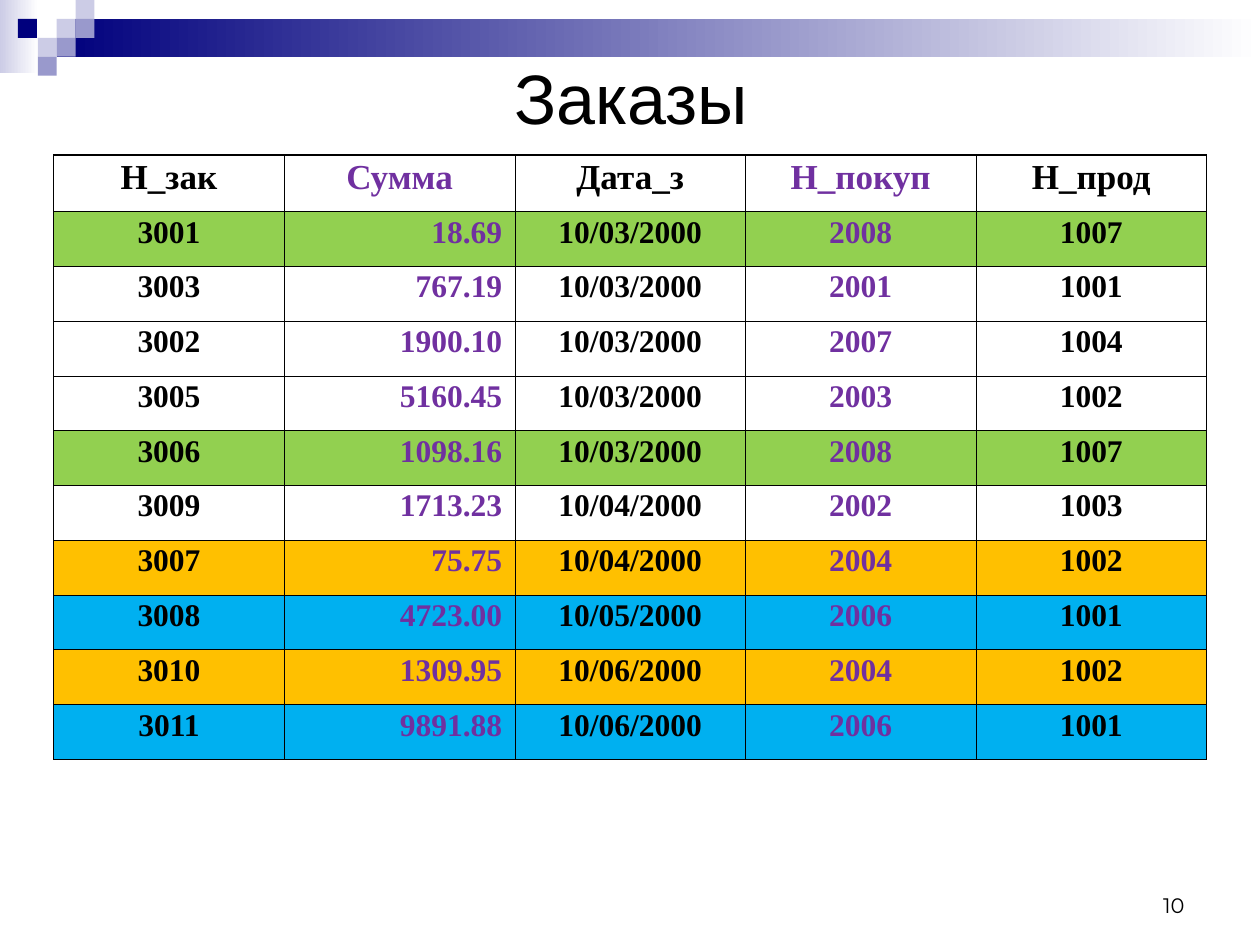
import pptx
import pptx.util
import pptx.dml.color
import pptx.enum.shapes
import pptx.enum.text
import pptx.oxml
import pptx.oxml.ns
from dataclasses import dataclass

Pt = pptx.util.Pt
Align = pptx.enum.text.PP_ALIGN
Anchor = pptx.enum.text.MSO_ANCHOR


@dataclass(frozen=True)
class Theme:
    black: str = "000000"
    white: str = "FFFFFF"
    navy: str = "00007D"
    mid: str = "9999CC"
    pale: str = "CCCCE6"
    purple: str = "7030A0"
    green: str = "92D050"
    amber: str = "FFC000"
    blue: str = "00B0F0"
    sans: str = "Arial"
    serif: str = "Times New Roman"
    small: str = "Montserrat"
    title: int = 40
    head: int = 20
    body: int = 18
    page: int = 12
    thin: float = 0.45
    thick: float = 0.96


def color(code):
    return pptx.dml.color.RGBColor.from_string(code)


class Deck:
    def __init__(self, theme, slide):
        self.theme = theme
        self.slide = slide

    def rect(self, box, *fills):
        """One colour gives a solid fill, two a left-to-right gradient."""
        kind = pptx.enum.shapes.MSO_SHAPE.RECTANGLE
        shape = self.slide.shapes.add_shape(kind, *map(Pt, box))
        shape.shadow.inherit = False
        shape.line.fill.background()
        if len(fills) == 1:
            shape.fill.solid()
            shape.fill.fore_color.rgb = color(fills[0])
        else:
            shape.fill.gradient()
            shape.fill.gradient_angle = 0
            for stop, code, place in zip(shape.fill.gradient_stops, fills, (0, 1)):
                stop.color.rgb = color(code)
                stop.position = place

    def style(self, frame, text, size, face, align, code, bold=False):
        para = frame.paragraphs[0]
        para.text = text
        para.alignment = align
        font = para.font
        font.size, font.name, font.bold = Pt(size), face, bold
        font.color.rgb = color(code)
        return para

    def text(self, box, text, size, face, align, anchor):
        frame = self.slide.shapes.add_textbox(*map(Pt, box)).text_frame
        frame.word_wrap = True
        frame.vertical_anchor = anchor
        self.style(frame, text, size, face, align, self.theme.black)

    def edge(self, cell, widths):
        """Draw borders, widths in the order left, right, top, bottom."""
        props = cell._tc.get_or_add_tcPr()
        for spot, (side, width) in enumerate(zip("LRTB", widths)):
            props.insert(spot, pptx.oxml.parse_xml(
                f'<a:ln{side} {pptx.oxml.ns.nsdecls("a")} w="{Pt(width)}">'
                f'<a:solidFill><a:srgbClr val="{self.theme.black}"/></a:solidFill>'
                f'</a:ln{side}>'))

    def table(self, box, rows, fills, heights):
        t = self.theme
        grid = self.slide.shapes.add_table(
            len(rows), len(rows[0]), *map(Pt, box)).table
        grid.first_row = grid.horz_banding = False
        for col in grid.columns:
            col.width = Pt(box[2] / len(rows[0]))
        for r, (row, fill, height) in enumerate(zip(rows, fills, heights)):
            grid.rows[r].height = Pt(height)
            for c, value in enumerate(row):
                cell = grid.cell(r, c)
                align = Align.RIGHT if r and c == 1 else Align.CENTER
                para = self.style(cell.text_frame, value,
                                  t.body if r else t.head, t.serif, align,
                                  t.purple if c in (1, 3) else t.black, True)
                para.line_spacing = 0.9
                if fill:
                    cell.fill.solid()
                    cell.fill.fore_color.rgb = color(fill)
                else:
                    cell.fill.background()
                self.edge(cell, (t.thin, t.thin,
                                 t.thick if r < 2 else t.thin,
                                 t.thin if r else t.thick))


def main():
    prs = pptx.Presentation()
    prs.slide_width, prs.slide_height = Pt(720), Pt(540)
    t = Theme()
    deck = Deck(t, prs.slides.add_slide(prs.slide_layouts[6]))

    # Top band and its mosaic of squares
    unit = 10.8
    deck.rect((0, 0, 22, 41.8), t.pale, t.white)
    deck.rect((3 * unit, unit, 720 - 3 * unit, 2 * unit), t.navy, t.white)
    mosaic = [(3, 1, t.pale), (4, 0, t.pale), (4, 1, t.mid), (2, 2, t.pale),
              (0.95, 1, t.navy), (3, 2, t.mid), (2, 3, t.mid)]
    for col, row, fill in mosaic:
        deck.rect((col * unit, row * unit, unit, unit), fill)

    # Title
    deck.text((36.7, 26, 648, 58.3), "Заказы", t.title, t.sans,
              Align.CENTER, Anchor.MIDDLE)

    # Orders, coloured by repeat buyer
    rows = [
        ("Н_зак", "Сумма", "Дата_з", "Н_покуп", "Н_прод"),
        ("3001", "18.69", "10/03/2000", "2008", "1007"),
        ("3003", "767.19", "10/03/2000", "2001", "1001"),
        ("3002", "1900.10", "10/03/2000", "2007", "1004"),
        ("3005", "5160.45", "10/03/2000", "2003", "1002"),
        ("3006", "1098.16", "10/03/2000", "2008", "1007"),
        ("3009", "1713.23", "10/04/2000", "2002", "1003"),
        ("3007", "75.75", "10/04/2000", "2004", "1002"),
        ("3008", "4723.00", "10/05/2000", "2006", "1001"),
        ("3010", "1309.95", "10/06/2000", "2004", "1002"),
        ("3011", "9891.88", "10/06/2000", "2006", "1001"),
    ]
    buyers = {"2008": t.green, "2004": t.amber, "2006": t.blue}
    fills = [buyers.get(row[3]) for row in rows]
    heights = [32.5] + [31.32] * (len(rows) - 1)
    deck.table((30.7, 88.5, 658.8, sum(heights)), rows, fills, heights)

    # Page number
    deck.text((516, 492, 168, 36), "10", t.page, t.small,
              Align.RIGHT, Anchor.BOTTOM)

    prs.save("out.pptx")


if __name__ == "__main__":
    main()
